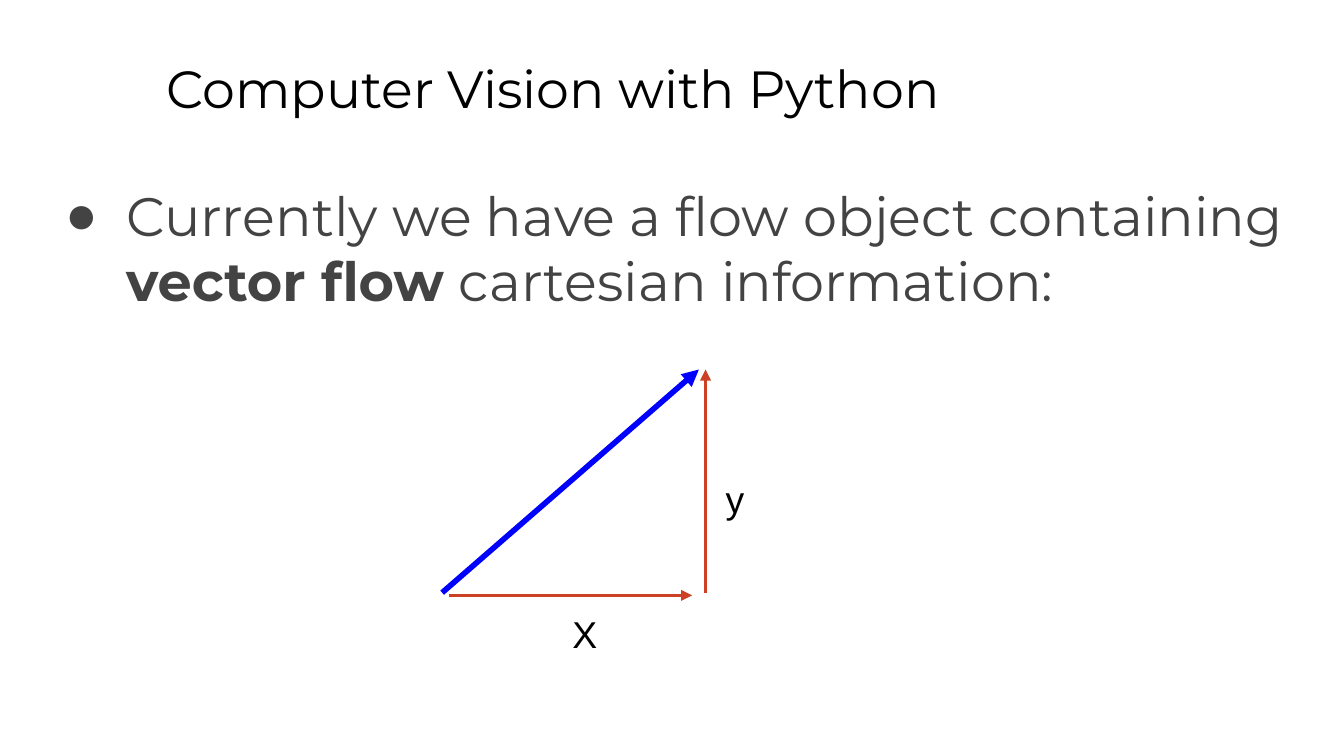
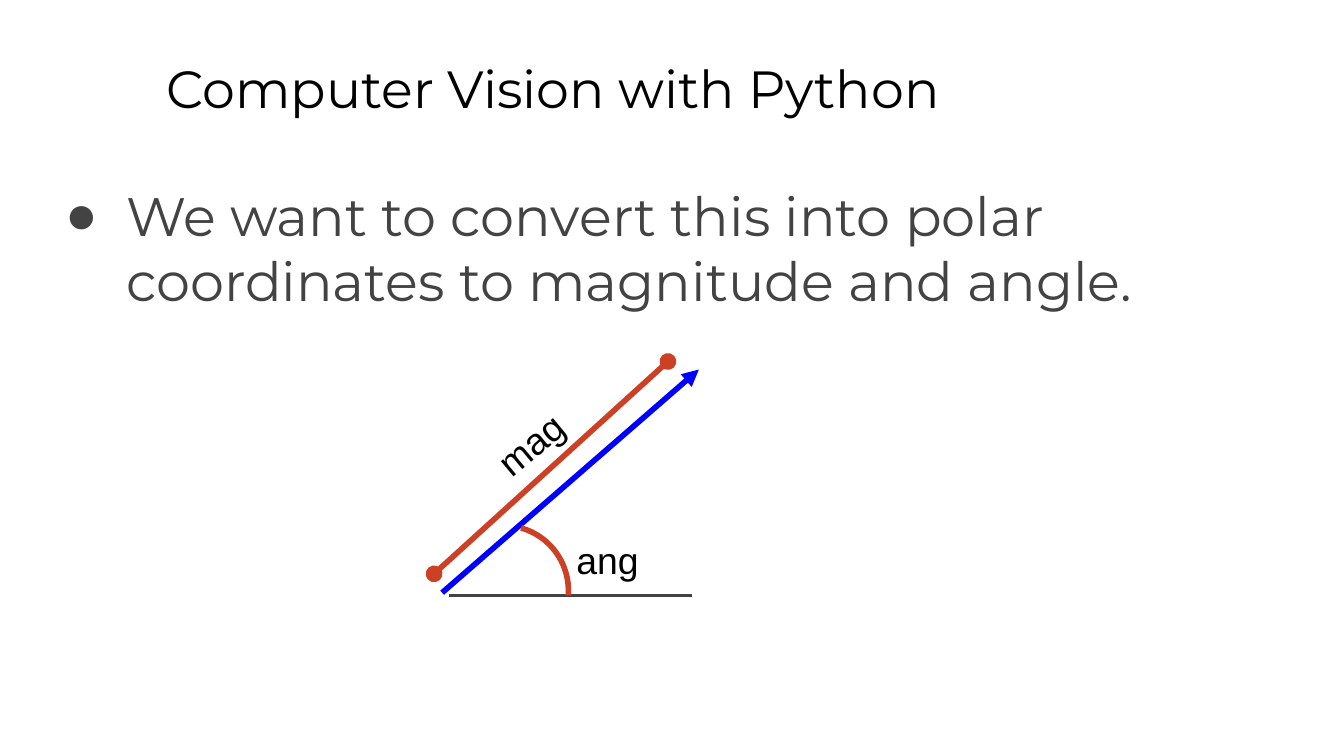
from dataclasses import dataclass

import lxml.etree
import pptx
import pptx.dml.color
import pptx.enum.shapes
import pptx.oxml.ns
import pptx.util

Inches = pptx.util.Inches
Pt = pptx.util.Pt
qn = pptx.oxml.ns.qn

BLACK = "000000"
GREY = "434343"
BLUE = "0000FF"
RED = "CC4125"
SANS = "Arial"
MONT = "Montserrat"
TITLE = "Computer Vision with Python"


@dataclass(frozen=True)
class Run:
    text: str
    bold: bool = False


@dataclass(frozen=True)
class Style:
    font: str
    size: float
    color: str


@dataclass(frozen=True)
class Line:
    start: tuple[float, float]
    end: tuple[float, float]
    color: str
    width: float
    head: str = ""
    tail: str = ""


@dataclass(frozen=True)
class Label:
    text: str
    box: tuple[float, float, float, float]
    turn: float = 0


@dataclass(frozen=True)
class Page:
    body: list[Run]
    lines: list[Line]
    labels: list[Label]


HEAD = Style(MONT, 28, BLACK)
BODY = Style(MONT, 29, GREY)
NOTE = Style(SANS, 20, BLACK)


def rgb(code: str):
    return pptx.dml.color.RGBColor.from_string(code)


def add_text(slide, box, runs: list[Run], style: Style):
    shape = slide.shapes.add_textbox(*map(Inches, box))
    frame = shape.text_frame
    frame.word_wrap = True
    frame.margin_left = frame.margin_right = Inches(0.1)
    frame.margin_top = frame.margin_bottom = Inches(0.1)
    para = frame.paragraphs[0]
    for item in runs:
        run = para.add_run()
        run.text = item.text
        run.font.name = style.font
        run.font.size = Pt(style.size)
        run.font.bold = item.bold
        run.font.color.rgb = rgb(style.color)
    return shape


def add_bullet(para, color: str) -> None:
    props = para._p.get_or_add_pPr()
    props.set("marL", str(Inches(0.5)))
    props.set("indent", str(Inches(-0.45)))
    tint = lxml.etree.SubElement(props, qn("a:buClr"))
    lxml.etree.SubElement(tint, qn("a:srgbClr"), val=color)
    lxml.etree.SubElement(props, qn("a:buFont"), typeface=SANS)
    lxml.etree.SubElement(props, qn("a:buChar"), char="●")


def add_line(slide, line: Line) -> None:
    shape = slide.shapes.add_connector(
        pptx.enum.shapes.MSO_CONNECTOR.STRAIGHT,
        *map(Inches, line.start + line.end),
    )
    shape.line.color.rgb = rgb(line.color)
    shape.line.width = Pt(line.width)
    edge = shape.line._get_or_add_ln()
    for tag, kind in (("a:headEnd", line.head), ("a:tailEnd", line.tail)):
        if kind:
            lxml.etree.SubElement(edge, qn(tag), type=kind)
    lxml.etree.SubElement(shape._element.spPr, qn("a:effectLst"))


def add_arc(slide) -> None:
    kind = pptx.enum.shapes.MSO_SHAPE.ARC
    box = map(Inches, (3.26, 3.91, 0.97, 0.97))
    arc = slide.shapes.add_shape(kind, *box)
    arc.adjustments[0] = 168.05
    arc.adjustments[1] = 215.07
    arc.rotation = 5.8
    arc.shadow.inherit = False
    arc.fill.background()
    arc.line.color.rgb = rgb(RED)
    arc.line.width = Pt(3)


def add_page(deck, page: Page):
    slide = deck.slides.add_slide(deck.slide_layouts[6])
    add_text(slide, (1.14, 0.32, 8.52, 0.63), [Run(TITLE)], HEAD)
    body = add_text(slide, (0.34, 1.26, 9.5, 3.74), page.body, BODY)
    add_bullet(body.text_frame.paragraphs[0], GREY)
    for line in page.lines:
        add_line(slide, line)
    for label in page.labels:
        shape = add_text(slide, label.box, [Run(label.text)], NOTE)
        shape.rotation = label.turn
    return slide


def base(color: str, tail: str = "") -> Line:
    return Line((3.34, 4.43), (5.15, 4.43), color, 1.5, tail=tail)


FLOW = Line((3.29, 4.41), (5.2, 2.75), BLUE, 3, tail="triangle")

PLANE = Page(
    [
        Run("Currently we have a flow object containing "),
        Run("vector flow", True),
        Run(" cartesian information:"),
    ],
    [
        FLOW,
        base(RED, "triangle"),
        Line((5.25, 4.41), (5.25, 2.75), RED, 1.5, tail="triangle"),
    ],
    [
        Label("X", (4.16, 4.45, 0.38, 0.28)),
        Label("y", (5.3, 3.44, 0.38, 0.28)),
    ],
)

POLAR = Page(
    [Run("We want to convert this into polar coordinates to magnitude and angle.")],
    [
        FLOW,
        base(GREY),
        Line((3.23, 4.27), (4.97, 2.69), RED, 3, "oval", "oval"),
    ],
    [
        Label("mag", (3.43, 2.89, 1.29, 0.28), 320.2),
        Label("ang", (4.19, 3.9, 0.7, 0.28)),
    ],
)


def main() -> None:
    deck = pptx.Presentation()
    deck.slide_width = Inches(10)
    deck.slide_height = Inches(10 * 9 / 16)
    add_page(deck, PLANE)
    add_arc(add_page(deck, POLAR))
    deck.save("out.pptx")


main()
